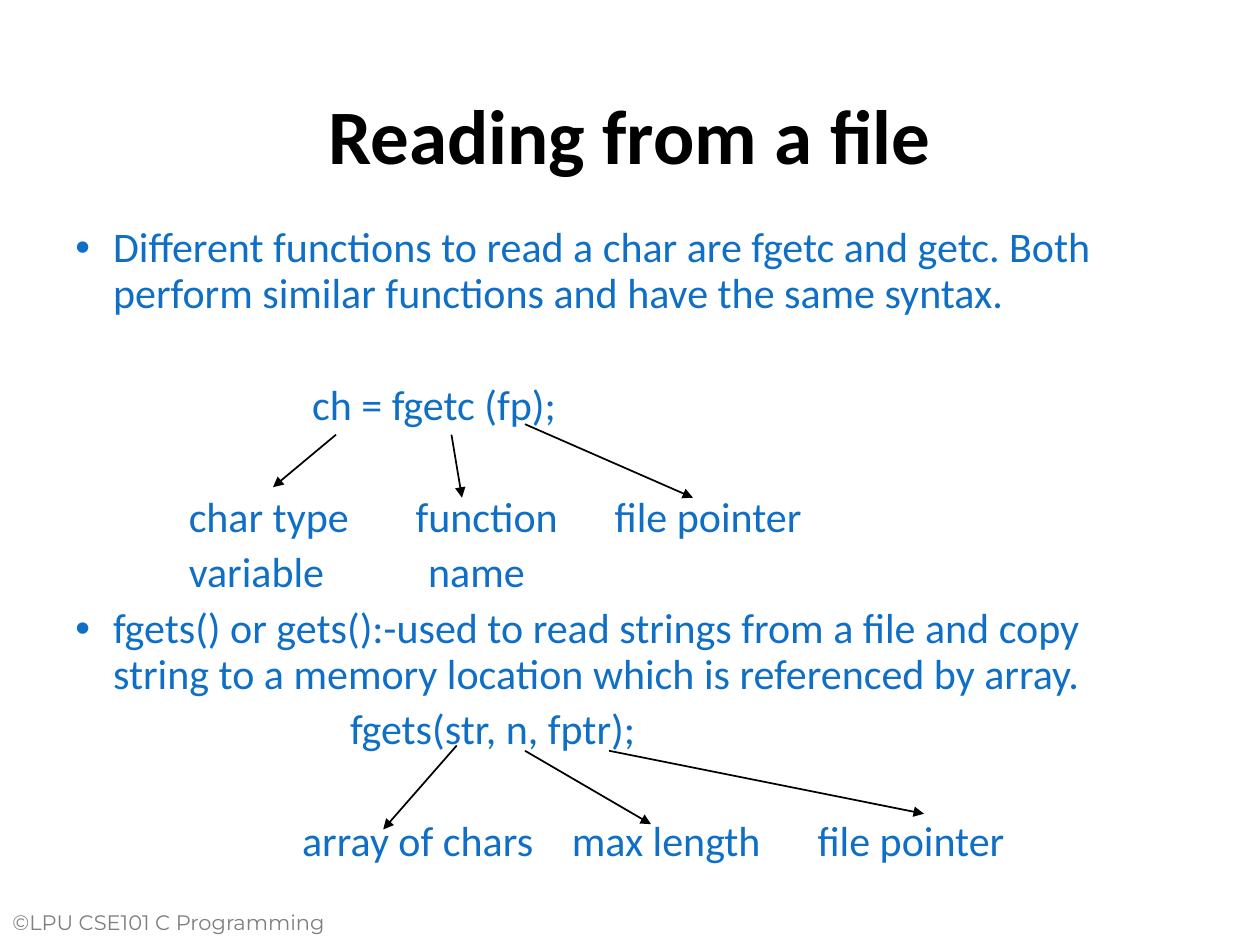
from dataclasses import dataclass

from lxml.etree import SubElement
from pptx import Presentation
from pptx.dml.color import RGBColor
from pptx.enum.shapes import MSO_CONNECTOR as Connector
from pptx.enum.text import MSO_ANCHOR as Anchor, PP_ALIGN as Align
from pptx.oxml.ns import qn
from pptx.util import Inches, Pt

COLORS = {"title": "000000", "body": "0F6FC6", "footer": "7F7F7F", "arrow": "000000"}
SLIDE_WIDTH, SLIDE_HEIGHT = Inches(10), Inches(7.5)
COLUMNS, ROWS = 120, 90
COLUMN, ROW = SLIDE_WIDTH / COLUMNS, SLIDE_HEIGHT / ROWS
BULLET_INDENT = Inches(0.3)
GAP = 6
SKIPPED_LINE = 32


@dataclass(frozen=True)
class Line:
    text: str
    stops: tuple[float, ...] = ()
    before: float = GAP


@dataclass(frozen=True)
class Arrow:
    start: tuple[float, float]
    end: tuple[float, float]


LINES = [
    Line("Different functions to read a char are fgetc and getc. Both perform "
         "similar functions and have the same syntax.", before=0),
    Line("\tch = fgetc (fp);", (1.88,), GAP + SKIPPED_LINE),
    Line("\tchar type\tfunction\tfile pointer", (0.9, 2.7, 4.28), GAP + SKIPPED_LINE),
    Line("\tvariable\tname", (0.9, 2.8)),
    Line("fgets() or gets():-used to read strings from a file and copy string "
         "to a memory location which is referenced by array."),
    Line("\tfgets(str, n, fptr);", (2.18,)),
    Line("\tarray of chars\tmax length\tfile pointer", (1.8, 3.94, 5.89), GAP + SKIPPED_LINE),
]

ARROWS = [
    Arrow((32, 41.4), (26, 46.4)),
    Arrow((43, 41.4), (44, 47.4)),
    Arrow((50, 40.4), (66, 47.4)),
    Arrow((43.5, 71), (36.5, 79)),
    Arrow((50, 71.5), (62, 78.5)),
    Arrow((58, 71.5), (88, 77.5)),
]


def grid_box(left: float, top: float, width: float, height: float) -> tuple[int, ...]:
    return int(left * COLUMN), int(top * ROW), int(width * COLUMN), int(height * ROW)


def style_runs(paragraph, font_name: str, size: float, color: str, bold: bool = False) -> None:
    for run in paragraph.runs:
        run.font.name = font_name
        run.font.size = Pt(size)
        run.font.bold = bold
        run.font.color.rgb = RGBColor.from_string(COLORS[color])


def add_bullet(properties) -> None:
    properties.set("marL", str(BULLET_INDENT))
    properties.set("indent", str(-BULLET_INDENT))
    color = SubElement(properties, qn("a:buClr"))
    SubElement(color, qn("a:srgbClr"), val=COLORS["body"])
    SubElement(properties, qn("a:buFont"), typeface="Arial")
    SubElement(properties, qn("a:buChar"), char="•")


def add_tab_stops(properties, stops: tuple[float, ...]) -> None:
    tab_list = SubElement(properties, qn("a:tabLst"))
    for stop in stops:
        SubElement(tab_list, qn("a:tab"), pos=str(Inches(stop)), algn="l")


def set_title(slide, text: str) -> None:
    title = slide.shapes.title
    title.left, title.top, title.width, title.height = grid_box(6, 7, 108, 11.4)
    title.text_frame.text = text
    title.text_frame.vertical_anchor = Anchor.MIDDLE
    paragraph = title.text_frame.paragraphs[0]
    paragraph.alignment = Align.CENTER
    style_runs(paragraph, "Calibri", 44, "title", bold=True)


def add_body(slide, lines: list[Line]) -> None:
    frame = slide.shapes.add_textbox(*grid_box(6, 21, 108, 66)).text_frame
    frame.word_wrap = True
    for index, line in enumerate(lines):
        paragraph = frame.add_paragraph() if index else frame.paragraphs[0]
        paragraph.text = line.text
        properties = paragraph._p.get_or_add_pPr()
        if line.stops:
            add_tab_stops(properties, line.stops)
        else:
            add_bullet(properties)
        paragraph.line_spacing = 0.9
        paragraph.space_before = Pt(line.before)
        style_runs(paragraph, "Calibri", 24, "body")


def add_footer(slide, text: str) -> None:
    frame = slide.shapes.add_textbox(*grid_box(0, 86, 36, 5)).text_frame
    frame.word_wrap = True
    frame.text = text
    style_runs(frame.paragraphs[0], "Montserrat", 12, "footer")


def add_arrow(slide, arrow: Arrow) -> None:
    (start_column, start_row), (end_column, end_row) = arrow.start, arrow.end
    connector = slide.shapes.add_connector(
        Connector.STRAIGHT,
        int(start_column * COLUMN), int(start_row * ROW),
        int(end_column * COLUMN), int(end_row * ROW),
    )
    connector.line.width = Pt(1)
    connector.line.color.rgb = RGBColor.from_string(COLORS["arrow"])
    SubElement(connector.line._get_or_add_ln(), qn("a:tailEnd"), type="triangle")
    SubElement(connector._element.spPr, qn("a:effectLst"))


def main() -> None:
    presentation = Presentation()
    presentation.slide_width, presentation.slide_height = SLIDE_WIDTH, SLIDE_HEIGHT
    slide = presentation.slides.add_slide(presentation.slide_layouts.get_by_name("Title Only"))
    add_footer(slide, "©LPU CSE101 C Programming")
    set_title(slide, "Reading from a file")
    add_body(slide, LINES)
    for arrow in ARROWS:
        add_arrow(slide, arrow)
    presentation.save("out.pptx")


if __name__ == "__main__":
    main()
